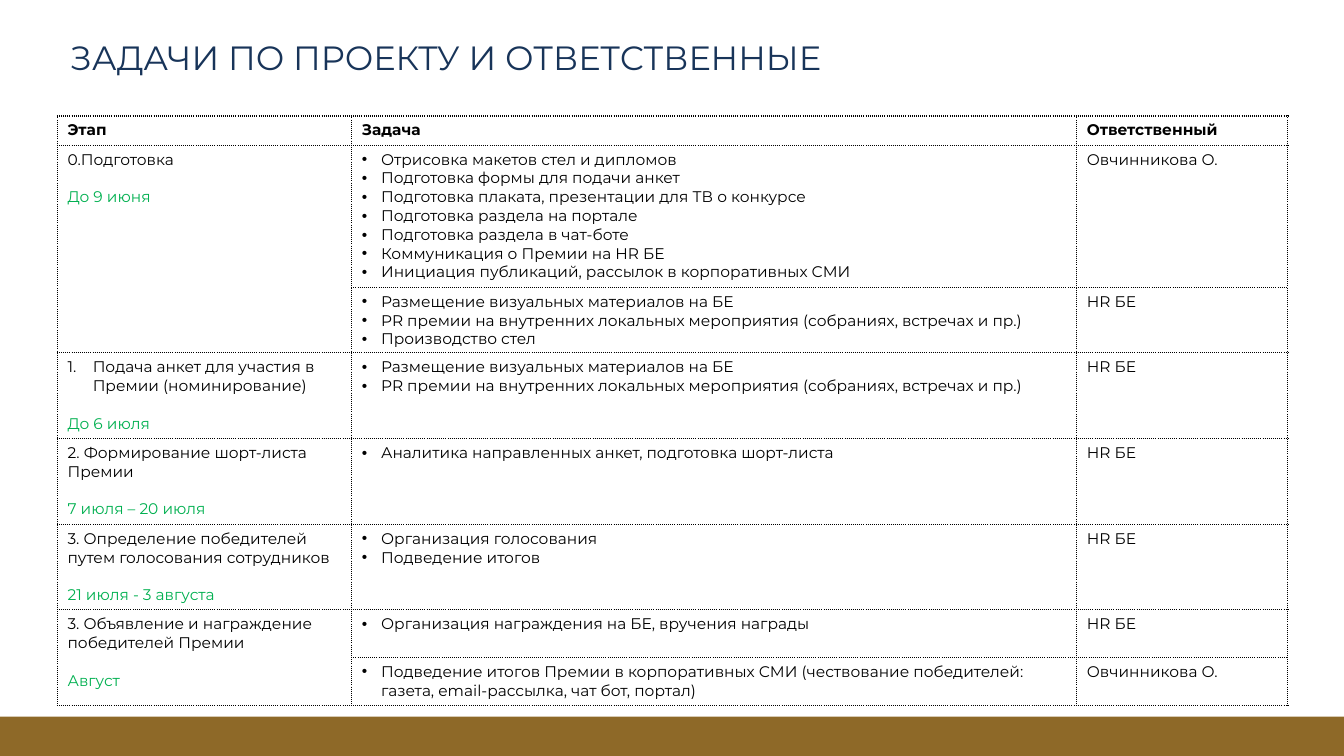
from pptx import Presentation
from pptx.dml.color import RGBColor
from pptx.enum.shapes import MSO_SHAPE as Shape
from pptx.oxml import parse_xml
from pptx.oxml.ns import nsdecls
from pptx.util import Inches, Pt

# Content
TITLE = "ЗАДАЧИ ПО ПРОЕКТУ И ОТВЕТСТВЕННЫЕ"
HEADS = ["Этап", "Задача", "Ответственный"]
LEAD, UNIT = "Овчинникова О.", "HR БЕ"
PLACE = "Размещение визуальных материалов на БЕ"
PROMO = "PR премии на внутренних локальных мероприятия (собраниях, встречах и пр.)"

# Stage: name, date, numbered or not, then its rows of (height, tasks, owner)
STAGES = [
    ("0.Подготовка", "До 9 июня", False, [
        (1.41, ["Отрисовка макетов стел и дипломов",
                "Подготовка формы для подачи анкет",
                "Подготовка плаката, презентации для ТВ о конкурсе",
                "Подготовка раздела на портале",
                "Подготовка раздела в чат-боте",
                "Коммуникация о Премии на HR БЕ",
                "Инициация публикаций, рассылок в корпоративных СМИ"], LEAD),
        (0.65, [PLACE, PROMO, "Производство стел"], UNIT)]),
    ("Подача анкет для участия в Премии (номинирование)", "До 6 июля", True, [
        (0.85, [PLACE, PROMO], UNIT)]),
    ("2. Формирование шорт-листа Премии", "7 июля – 20 июля", False, [
        (0.85, ["Аналитика направленных анкет, подготовка шорт-листа"], UNIT)]),
    ("3. Определение победителей путем голосования сотрудников",
     "21 июля - 3 августа", False, [
         (0.85, ["Организация голосования", "Подведение итогов"], UNIT)]),
    ("3. Объявление и награждение победителей Премии", "Август", False, [
        (0.47, ["Организация награждения на БЕ, вручения награды"], UNIT),
        (0.48, ["Подведение итогов Премии в корпоративных СМИ (чествование "
                "победителей: газета, email-рассылка, чат бот, портал)"], LEAD)]),
]
COLS = [2.92, 7.19, 2.09]
HEAD_H = 0.29
BLACK, GREEN, NAVY, BROWN = "000000", "00B050", "183459", "8E6928"
BULLET = '<a:buChar {} char="•"/>'
NUMBER = '<a:buAutoNum {} type="arabicPeriod"/>'


def paint(color, code):
    color.rgb = RGBColor.from_string(code)


def write(frame, text, size=11, color=BLACK, bold=False, mark=None,
          indent=0.19, before=0, line=None):
    """Fill the first paragraph if it is free, else add one."""
    para = frame.paragraphs[0]
    if para.runs:
        para = frame.add_paragraph()
    if mark:
        props = para._p.get_or_add_pPr()
        props.set("marL", str(Inches(indent)))
        props.set("indent", str(-Inches(indent)))
        if mark == BULLET:
            props.append(parse_xml(f'<a:buFont {nsdecls("a")} typeface="Arial"/>'))
        props.append(parse_xml(mark.format(nsdecls("a"))))
    if before:
        para.space_before = Pt(before)
    if line:
        para.line_spacing = line
    run = para.add_run()
    run.text = text
    font = run.font
    font.name, font.size, font.bold = "Montserrat", Pt(size), bold
    paint(font.color, color)


def frame_cell(cell):
    """Dotted border on each side, no fill."""
    props = cell._tc.get_or_add_tcPr()
    for side in "LRTB":
        props.append(parse_xml(
            f'<a:ln{side} {nsdecls("a")} w="{Pt(1)}"><a:solidFill>'
            f'<a:srgbClr val="{BLACK}"/></a:solidFill>'
            f'<a:prstDash val="sysDot"/></a:ln{side}>'))
    cell.fill.background()


deck = Presentation()
deck.slide_width, deck.slide_height = Inches(13.33), Inches(7.5)
slide = deck.slides.add_slide(deck.slide_layouts[6])

# Bottom band
band = slide.shapes.add_shape(Shape.RECTANGLE, 0, Inches(7.11),
                              Inches(13.33), Inches(0.39))
band.shadow.inherit = False
band.fill.solid()
paint(band.fill.fore_color, BROWN)
band.line.fill.background()

# Title
box = slide.shapes.add_textbox(Inches(0.6), Inches(0.36),
                               Inches(9.85), Inches(1.45))
box.text_frame.word_wrap = True
write(box.text_frame, TITLE, size=24, color=NAVY, line=0.9)

# Table grid
heights = [HEAD_H] + [row[0] for stage in STAGES for row in stage[3]]
table = slide.shapes.add_table(len(heights), len(COLS), Inches(0.57), Inches(1.15),
                               Inches(sum(COLS)), Inches(sum(heights))).table
table.first_row = table.horz_banding = False
for col, width in zip(table.columns, COLS):
    col.width = Inches(width)
for row, height in zip(table.rows, heights):
    row.height = Inches(height)
    for cell in row.cells:
        frame_cell(cell)

# Table text
for c, head in enumerate(HEADS):
    write(table.cell(0, c).text_frame, head, bold=True)
r = 1
for name, date, numbered, rows in STAGES:
    first = table.cell(r, 0)
    if len(rows) > 1:
        first.merge(table.cell(r + len(rows) - 1, 0))
    write(first.text_frame, name, mark=NUMBER if numbered else None, indent=0.25)
    write(first.text_frame, date, color=GREEN, before=13.4)
    for _, tasks, owner in rows:
        for task in tasks:
            write(table.cell(r, 1).text_frame, task, mark=BULLET)
        write(table.cell(r, 2).text_frame, owner)
        r += 1

deck.save("out.pptx")
